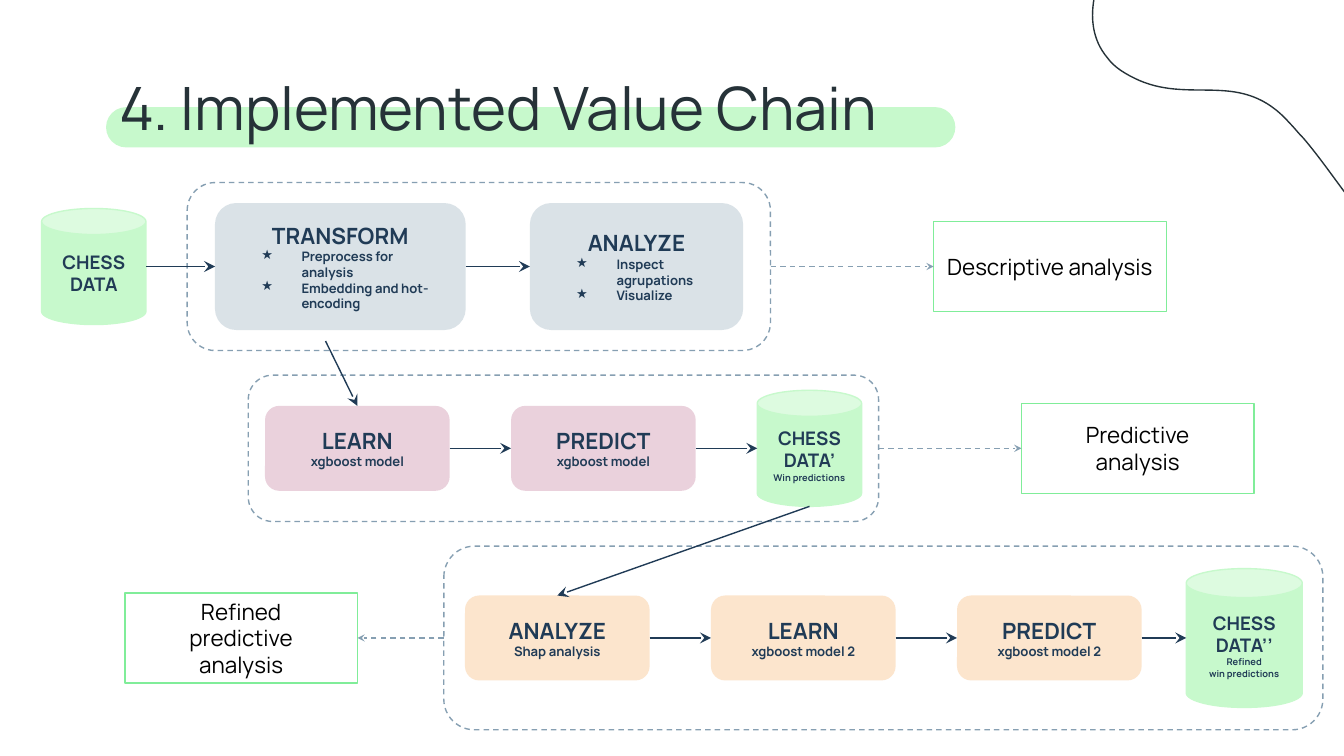
import math
from dataclasses import dataclass
from typing import NamedTuple, Optional

from lxml import etree
from pptx import Presentation
from pptx import util as u
from pptx.dml.color import RGBColor
from pptx.enum import dml, shapes, text
from pptx.oxml import ns


@dataclass(frozen=True)
class Theme:
    font: str = "Manrope"
    title_ink: str = "263238"
    ink: str = "203B56"
    data_ink: str = "213B55"
    black: str = "000000"
    frame: str = "869FB2"
    mint: str = "C7F9CC"
    green: str = "80ED99"
    grey: str = "DAE2E7"
    pink: str = "EAD1DC"
    peach: str = "FCE5CD"
    title: float = 32
    heading: float = 12
    data: float = 10
    detail: float = 7
    caption: float = 5
    line: float = 0.75


class Box(NamedTuple):
    left: float
    middle: float
    width: float
    height: float


class Run(NamedTuple):
    words: str
    size: float
    color: str
    bold: bool = True


class Line(NamedTuple):
    runs: list[Run]
    bullet: bool = False


class End(NamedTuple):
    x: float = 0
    y: float = 0
    shape: Optional[object] = None
    site: int = 0


T = Theme()
KIND = shapes.MSO_SHAPE
TOP, LEFT, RIGHT = 0, 1, 3
ROW_1, ROW_2, ROW_3 = 142.8, 240.2, 341.8
STEP_W, STEP_H, STEP_PITCH = 98.9, 45.5, 131.8

prs = Presentation()
prs.slide_width, prs.slide_height = u.Pt(720), u.Pt(405)
slide = prs.slides.add_slide(prs.slide_layouts[6])


def rgb(color: str) -> RGBColor:
    return RGBColor.from_string(color)


def write(frame, lines: list[Line], align, anchor) -> None:
    frame.word_wrap = True
    frame.vertical_anchor = anchor
    frame.margin_left = frame.margin_right = u.Pt(7.2)
    frame.margin_top = frame.margin_bottom = u.Pt(7.2)
    for i, line in enumerate(lines):
        para = frame.paragraphs[0] if i == 0 else frame.add_paragraph()
        para.alignment = text.PP_ALIGN.LEFT if line.bullet else align
        if line.bullet:
            props = para._p.get_or_add_pPr()
            props.set("marL", str(u.Pt(36)))
            props.set("indent", str(u.Pt(-21.6)))
            color = etree.SubElement(props, ns.qn("a:buClr"))
            etree.SubElement(color, ns.qn("a:srgbClr"), val=T.ink)
            etree.SubElement(props, ns.qn("a:buChar"), char="★")
        for part in line.runs:
            run = para.add_run()
            run.text = part.words
            run.font.name, run.font.size = T.font, u.Pt(part.size)
            run.font.bold = part.bold
            run.font.color.rgb = rgb(part.color)


def paint(shape, fill: Optional[str], outline: Optional[str], dashed: bool = False) -> None:
    shape.shadow.inherit = False
    if fill:
        shape.fill.solid()
        shape.fill.fore_color.rgb = rgb(fill)
    else:
        shape.fill.background()
    if outline:
        shape.line.color.rgb = rgb(outline)
        shape.line.width = u.Pt(T.line)
        if dashed:
            shape.line.dash_style = dml.MSO_LINE.DASH
    else:
        shape.line.fill.background()


def block(kind, box: Box, lines: list[Line], fill: Optional[str] = None,
          outline: Optional[str] = None, dashed: bool = False):
    shape = slide.shapes.add_shape(kind, u.Pt(box.left), u.Pt(box.middle - box.height / 2),
                                   u.Pt(box.width), u.Pt(box.height))
    paint(shape, fill, outline, dashed)
    if lines:
        write(shape.text_frame, lines, text.PP_ALIGN.CENTER, text.MSO_ANCHOR.MIDDLE)
    return shape


def stage(box: Box):
    return block(KIND.ROUNDED_RECTANGLE, box, [], None, T.frame, True)


def step(box: Box, heading: str, details: list[str], fill: str, bullet: bool = False):
    lines = [Line([Run(heading, T.heading, T.ink)])]
    lines += [Line([Run(words, T.detail, T.ink)], bullet) for words in details]
    return block(KIND.ROUNDED_RECTANGLE, box, lines, fill)


def model_steps(left: float, middle: float, fill: str, steps: list[tuple[str, str]]) -> list:
    return [step(Box(left + i * STEP_PITCH, middle, STEP_W, STEP_H), heading, [detail], fill)
            for i, (heading, detail) in enumerate(steps)]


def store(box: Box, name: list[Run], captions: list[str]) -> None:
    lines = [Line(name)] + [Line([Run(c, T.caption, T.ink)]) for c in captions]
    block(KIND.CAN, box, lines, T.mint, T.mint)


def result(left: float, middle: float, words: list[str]):
    lines = [Line([Run(w, T.heading, T.black, False)]) for w in words]
    return block(KIND.RECTANGLE, Box(left, middle, 124.6, 48.2), lines, None, T.green)


def arrow(start: End, end: End, dashed: bool = False) -> None:
    link = slide.shapes.add_connector(shapes.MSO_CONNECTOR.STRAIGHT, u.Pt(start.x),
                                      u.Pt(start.y), u.Pt(end.x), u.Pt(end.y))
    if start.shape is not None:
        link.begin_connect(start.shape, start.site)
    if end.shape is not None:
        link.end_connect(end.shape, end.site)
    link.line.color.rgb = rgb(T.frame if dashed else T.ink)
    link.line.width = u.Pt(T.line)
    if dashed:
        link.line.dash_style = dml.MSO_LINE.DASH
    size = "sm" if dashed else "med"
    etree.SubElement(link.line._get_or_add_ln(), ns.qn("a:tailEnd"),
                     type="stealth", w=size, len=size)
    etree.SubElement(link._element.spPr, ns.qn("a:effectLst"))


def chain(steps: list) -> None:
    for before, after in zip(steps, steps[1:]):
        arrow(End(shape=before, site=RIGHT), End(shape=after, site=LEFT))


def curve(box: Box, turn: float, start: tuple[float, float],
          segments: list[tuple[float, ...]]) -> None:
    cos, sin = math.cos(math.radians(turn)), math.sin(math.radians(turn))

    def local(x: float, y: float) -> tuple[int, int]:
        dx, dy = x - box.left - box.width / 2, y - box.middle
        return (u.Pt(cos * dx + sin * dy + box.width / 2),
                u.Pt(cos * dy - sin * dx + box.height / 2))

    builder = slide.shapes.build_freeform(*local(*start))
    builder.add_line_segments([local(*s[4:]) for s in segments], close=True)
    shape = builder.convert_to_shape()
    shape.left, shape.top = u.Pt(box.left), u.Pt(box.middle - box.height / 2)
    shape.width, shape.height = u.Pt(box.width), u.Pt(box.height)
    shape.rotation = turn
    outline = next(shape._element.iter(ns.qn("a:path")))
    outline.set("w", str(shape.width))
    outline.set("h", str(shape.height))
    origin = outline[0][0]
    origin.set("x", str(local(*start)[0]))
    origin.set("y", str(local(*start)[1]))
    for straight, s in zip(outline.findall(ns.qn("a:lnTo")), segments):
        bend = etree.Element(ns.qn("a:cubicBezTo"))
        for pair in (s[:2], s[2:4], s[4:]):
            x, y = local(*pair)
            etree.SubElement(bend, ns.qn("a:pt"), x=str(x), y=str(y))
        outline.replace(straight, bend)
    paint(shape, None, T.title_ink)


highlight = block(KIND.ROUNDED_RECTANGLE, Box(56.8, 68.2, 455, 21.6), [], T.mint)
highlight.adjustments[0] = 0.5
curve(Box(584.6, 29.9, 318.2, 234), 230.5, (593.3, 31), [
    (596.9, 36, 602.6, 39.6, 610.6, 43.2), (639.4, 55.4, 665.3, 37.4, 690.5, 65.5),
    (693.4, 68.4, 695.5, 71.3, 698.4, 74.2), (709.9, 87.8, 718.6, 101.5, 729.4, 114.5),
    (741.6, 129.6, 756, 142.6, 778.3, 151.9), (816.5, 167, 844.6, 154.1, 864.7, 127.4),
    (902.2, 81.4, 891.4, 25.2, 854.6, -19.4), (838.8, -38.2, 818.6, -55.4, 795.6, -68.4),
    (721.4, -110.2, 644.4, -94.3, 601.9, -36), (589, -18, 576.7, 11.5, 593.3, 31)])
title = slide.shapes.add_textbox(u.Pt(56.9), u.Pt(30.5), u.Pt(607), u.Pt(48.2))
write(title.text_frame, [Line([Run("4. Implemented Value Chain", T.title, T.title_ink, False)])],
      text.PP_ALIGN.LEFT, text.MSO_ANCHOR.TOP)

store(Box(22.3, ROW_1, 55.9, 62.2), [Run("CHESS DATA", T.data, T.data_ink)], [])
describing = stage(Box(100.3, ROW_1, 312.5, 90))
transform = step(Box(115.2, ROW_1, 134.3, 68), "TRANSFORM",
                 ["Preprocess for analysis", "Embedding and hot-encoding"], T.grey, True)
explore = step(Box(283.9, ROW_1, 114.2, 68), "ANALYZE",
               ["Inspect agrupations", "Visualize"], T.grey, True)
arrow(End(78.4, ROW_1), End(shape=transform, site=LEFT))
chain([transform, explore])

predicting = stage(Box(133, ROW_2, 337.7, 78.4))
first_model = model_steps(142, ROW_2, T.pink,
                          [("LEARN", "xgboost model"), ("PREDICT", "xgboost model")])
store(Box(405.7, ROW_2, 55.9, 62.2),
      [Run("CHESS ", T.data, T.ink), Run("DATA’", T.data, T.data_ink)], ["Win predictions"])
chain(first_model)
arrow(End(shape=first_model[-1], site=RIGHT), End(405.7, ROW_2))
arrow(End(174.4, 182.7), End(shape=first_model[0], site=TOP))

refining = stage(Box(237.8, ROW_3, 470.9, 98.4))
second_model = model_steps(249.1, ROW_3, T.peach, [
    ("ANALYZE", "Shap analysis"), ("LEARN", "xgboost model 2"), ("PREDICT", "xgboost model 2")])
store(Box(635.5, ROW_3, 62.2, 74.4),
      [Run("CHESS ", T.data, T.ink), Run("DATA’’", T.data, T.data_ink)],
      ["Refined", "win predictions"])
chain(second_model)
arrow(End(shape=second_model[-1], site=RIGHT), End(635.5, ROW_3))
arrow(End(433.7, ROW_2 + 31.1), End(shape=second_model[0], site=TOP))

for source, side, left, middle, words in (
        (describing, RIGHT, 500.2, ROW_1, ["Descriptive analysis"]),
        (predicting, RIGHT, 547.2, ROW_2, ["Predictive", "analysis"]),
        (refining, LEFT, 66.9, ROW_3, ["Refined", "predictive", "analysis"])):
    outcome = result(left, middle, words)
    arrow(End(shape=source, site=side), End(shape=outcome, site=LEFT + RIGHT - side), True)

prs.save("out.pptx")
